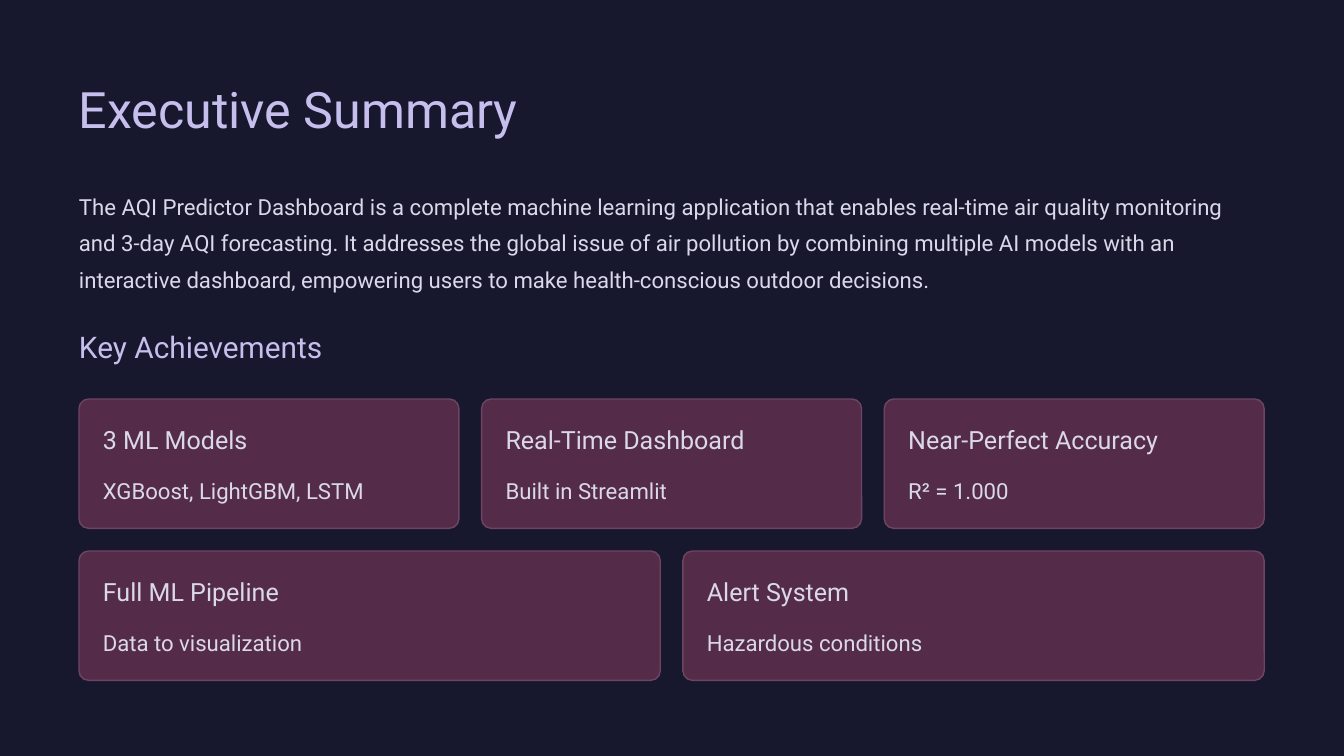
from dataclasses import dataclass

from pptx import Presentation
from pptx import util as u
from pptx.dml import color
from pptx.enum import shapes, text


@dataclass(frozen=True)
class Theme:
    """Hold the colours, font and text styles of the slide."""
    background: str = "17182E"
    card: str = "542C49"
    border: str = "6D4562"
    accent: str = "C6BFEE"
    body: str = "DAD8E9"
    font: str = "Roboto"
    title_size: float = 43
    heading_size: float = 25.5
    card_title_size: float = 21.5
    body_size: float = 19


THEME = Theme()
STYLES = {
    "title": (THEME.title_size, 54, THEME.accent),
    "heading": (THEME.heading_size, 32, THEME.accent),
    "card title": (THEME.card_title_size, 27, THEME.body),
    "body": (THEME.body_size, 31, THEME.body),
}
LEFT, CONTENT_WIDTH = 0.94, 14.11
CARD_TOP, CARD_HEIGHT, CARD_GAP, CARD_PADDING = 4.75, 1.54, 0.27, 0.285
SUMMARY = (
    "The AQI Predictor Dashboard is a complete machine learning application that enables "
    "real-time air quality monitoring and 3-day AQI forecasting. It addresses the global issue "
    "of air pollution by combining multiple AI models with an interactive dashboard, "
    "empowering users to make health-conscious outdoor decisions."
)
ACHIEVEMENT_ROWS = [
    [
        ("3 ML Models", "XGBoost, LightGBM, LSTM"),
        ("Real-Time Dashboard", "Built in Streamlit"),
        ("Near-Perfect Accuracy", "R² = 1.000"),
    ],
    [
        ("Full ML Pipeline", "Data to visualization"),
        ("Alert System", "Hazardous conditions"),
    ],
]


def rgb(value):
    """Turn a hex string into a colour."""
    return color.RGBColor.from_string(value)


def apply(target, values):
    """Set each named attribute on the target."""
    for name, value in values.items():
        setattr(target, name, value)


def add_text(slide, words, style, left, top, width, height, wrap=False):
    """Add one paragraph in a named style."""
    size, line_spacing, ink = STYLES[style]
    box = slide.shapes.add_textbox(*map(u.Inches, (left, top, width, height)))
    frame = box.text_frame
    apply(frame, {
        "margin_left": 0, "margin_right": 0, "margin_top": 0, "margin_bottom": 0,
        "word_wrap": wrap, "vertical_anchor": text.MSO_ANCHOR.TOP,
    })
    paragraph = frame.paragraphs[0]
    paragraph.line_spacing = u.Pt(line_spacing)
    run = paragraph.add_run()
    run.text = words
    apply(run.font, {"name": THEME.font, "size": u.Pt(size)})
    run.font.color.rgb = rgb(ink)


def add_card(slide, title, detail, left, top, width):
    """Add a rounded card with a title and a detail line."""
    card = slide.shapes.add_shape(
        shapes.MSO_SHAPE.ROUNDED_RECTANGLE,
        *map(u.Inches, (left, top, width, CARD_HEIGHT)),
    )
    card.adjustments[0] = 0.074
    card.shadow.inherit = False
    card.fill.solid()
    card.fill.fore_color.rgb = rgb(THEME.card)
    card.line.color.rgb = rgb(THEME.border)
    card.line.width = u.Pt(1.2)
    text_left, text_width = left + CARD_PADDING, width - 2 * CARD_PADDING
    add_text(slide, title, "card title", text_left, top + 0.28, text_width, 0.38)
    add_text(slide, detail, "body", text_left, top + 0.82, text_width, 0.43)


def add_card_row(slide, achievements, top):
    """Share the content width equally among the cards of a row."""
    count = len(achievements)
    width = (CONTENT_WIDTH - CARD_GAP * (count - 1)) / count
    for column, (title, detail) in enumerate(achievements):
        add_card(slide, title, detail, LEFT + column * (width + CARD_GAP), top, width)


def main():
    """Build and save the executive summary slide."""
    presentation = Presentation()
    apply(presentation, {"slide_width": u.Inches(16), "slide_height": u.Inches(9)})
    slide = presentation.slides.add_slide(presentation.slide_layouts[6])
    slide.background.fill.solid()
    slide.background.fill.fore_color.rgb = rgb(THEME.background)
    add_text(slide, "Executive Summary", "title", LEFT, 0.9, 6, 0.75)
    add_text(slide, SUMMARY, "body", LEFT, 2.19, CONTENT_WIDTH, 1.3, wrap=True)
    add_text(slide, "Key Achievements", "heading", LEFT, 3.89, 3.6, 0.45)
    for row, achievements in enumerate(ACHIEVEMENT_ROWS):
        add_card_row(slide, achievements, CARD_TOP + row * (CARD_HEIGHT + CARD_GAP))
    presentation.save("out.pptx")


if __name__ == "__main__":
    main()
